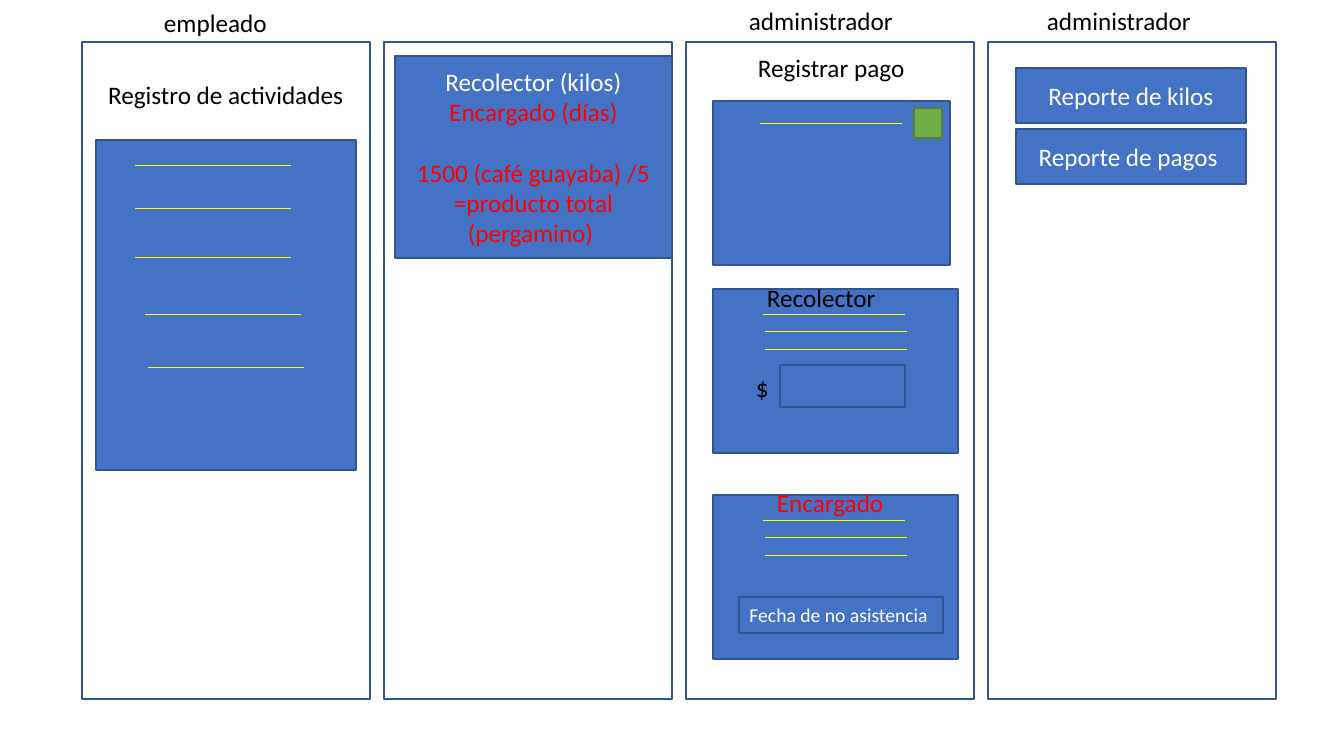
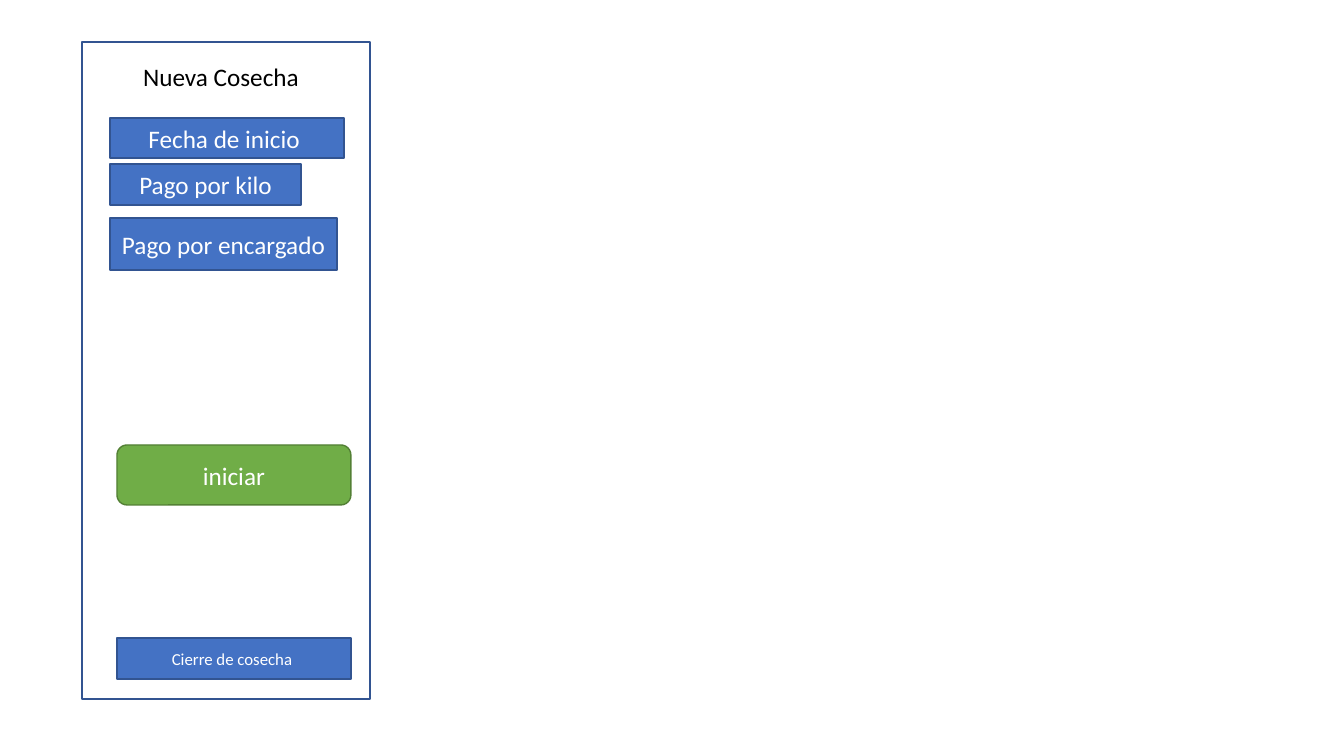
from lxml import etree
from pptx import Presentation
from pptx.dml.color import RGBColor
from pptx.enum.shapes import MSO_CONNECTOR, MSO_SHAPE
from pptx.enum.text import MSO_ANCHOR, MSO_AUTO_SIZE, PP_ALIGN
from pptx.oxml.ns import qn
from pptx.util import Emu, Pt

RECT, ROUND = MSO_SHAPE.RECTANGLE, MSO_SHAPE.ROUNDED_RECTANGLE
STRAIGHT = MSO_CONNECTOR.STRAIGHT
LEFT, CENTER = PP_ALIGN.LEFT, PP_ALIGN.CENTER
TOP, MIDDLE = MSO_ANCHOR.TOP, MSO_ANCHOR.MIDDLE
FIXED = MSO_AUTO_SIZE.NONE

PX = 914400 / 100.8
FONT = "Calibri"
BLACK, WHITE, RED, YELLOW = "000000", "FFFFFF", "FF0000", "FFFF00"
BLUE, NAVY = "4472C4", "325491"
GREEN, MOSS = "70AD47", "538035"
PANEL = (82, 42, 288, 657)
STEP = 302  # from one panel to the next


def write(frame, lines, size=18, align=LEFT, anchor=TOP, wrap=False):
    """Fill a text frame with (text, colour, space before in points) lines."""
    frame.word_wrap = wrap
    frame.auto_size = FIXED
    frame.vertical_anchor = anchor
    for i, (text, color, gap) in enumerate(lines):
        para = frame.add_paragraph() if i else frame.paragraphs[0]
        para.alignment = align
        para.space_before = Pt(gap)
        run = para.add_run()
        run.text = text
        run.font.name = FONT
        run.font.size = Pt(size)
        run.font.color.rgb = RGBColor.from_string(color)


def box(slide, rect, lines=(), size=18, fill=BLUE, edge=NAVY, kind=RECT):
    shape = slide.shapes.add_shape(kind, *[Emu(round(v * PX)) for v in rect])
    shape.shadow.inherit = False
    if fill:
        shape.fill.solid()
        shape.fill.fore_color.rgb = RGBColor.from_string(fill)
    else:
        shape.fill.background()
    shape.line.color.rgb = RGBColor.from_string(edge)
    shape.line.width = Pt(1)
    write(shape.text_frame, lines, size, CENTER, MIDDLE, True)


prs = Presentation()
prs.slide_width = Emu(round(1344 * PX))
prs.slide_height = Emu(round(756 * PX))

# Both slides: a row of empty panels and the heading of the first one
slides = []
for head, rect, count in [
    ("Registro de actividades", (98, 74, 258, 40), 4),
    ("Nueva Cosecha", (133, 56, 183, 40), 1),
]:
    slide = prs.slides.add_slide(prs.slide_layouts[5])
    title = slide.shapes.title
    title.left, title.top, title.width, title.height = [
        Emu(round(v * PX)) for v in rect]
    write(title.text_frame, [(head, BLACK, 0)])
    x, y, w, h = PANEL
    for i in range(count):
        box(slide, (x + i * STEP, y, w, h), fill=None)
    slides.append(slide)
flow, crop = slides

# Slide 1: boxes
box(flow, (96, 140, 260, 330))
box(flow, (395, 56, 277, 202), [
    ("Recolector (kilos)", WHITE, 0),
    ("Encargado (días)", RED, 0),
    ("1500 (café guayaba) /5 =producto total (pergamino) ", RED, 22),
])
box(flow, (713, 101, 237, 164))
box(flow, (914, 108, 28, 30), fill=GREEN, edge=MOSS)
cards = (289, 495)
for y in cards:
    box(flow, (713, y, 245, 164))
box(flow, (780, 365, 125, 42))
box(flow, (739, 597, 204, 36), [("Fecha de no asistencia ", WHITE, 0)], 14)
for i, text in enumerate(["Reporte de kilos", "Reporte de pagos "]):
    box(flow, (1016, 68 + i * 61, 230, 55), [(text, WHITE, 0)])

# Slide 1: ruled lines as left, top, length
rules = [(135, 165, 156), (135, 208, 156), (135, 257, 156),
         (145, 314, 156), (148, 367, 156), (760, 123, 142)]
for y in cards:
    rules += [(763, y + 25, 142), (765, y + 42, 142), (765, y + 60, 142)]
for x, y, size in rules:
    ends = [Emu(round(v * PX)) for v in (x, y, x + size, y)]
    rule = flow.shapes.add_connector(STRAIGHT, *ends)
    rule.line.color.rgb = RGBColor.from_string(YELLOW)
    rule.line.width = Pt(0.5)
    etree.SubElement(rule._element.spPr, qn("a:effectLst"))

# Slide 1: labels
for text, x, y, w, color in [
    ("empleado", 154, 2, 124, BLACK),
    ("administrador", 739, 0, 165, BLACK),
    ("administrador", 1037, 0, 165, BLACK),
    ("Registrar pago", 748, 47, 168, BLACK),
    ("Recolector", 757, 277, 130, BLACK),
    ("$", 746, 367, 33, BLACK),
    ("Encargado", 767, 482, 128, RED),
]:
    area = [Emu(round(v * PX)) for v in (x, y, w, 40)]
    label = flow.shapes.add_textbox(*area)
    write(label.text_frame, [(text, color, 0)])

# Slide 2: fields and buttons
for text, rect, size in [
    ("Fecha de inicio ", (110, 118, 234, 40), 18),
    ("Pago por kilo", (110, 164, 191, 41), 18),
    ("Pago por encargado", (110, 218, 227, 52), 18),
    ("Cierre de cosecha ", (117, 638, 234, 41), 12),
]:
    box(crop, rect, [(text, WHITE, 0)], size)
box(crop, (117, 445, 234, 60), [("iniciar", WHITE, 0)],
    fill=GREEN, edge=MOSS, kind=ROUND)

prs.save("out.pptx")
